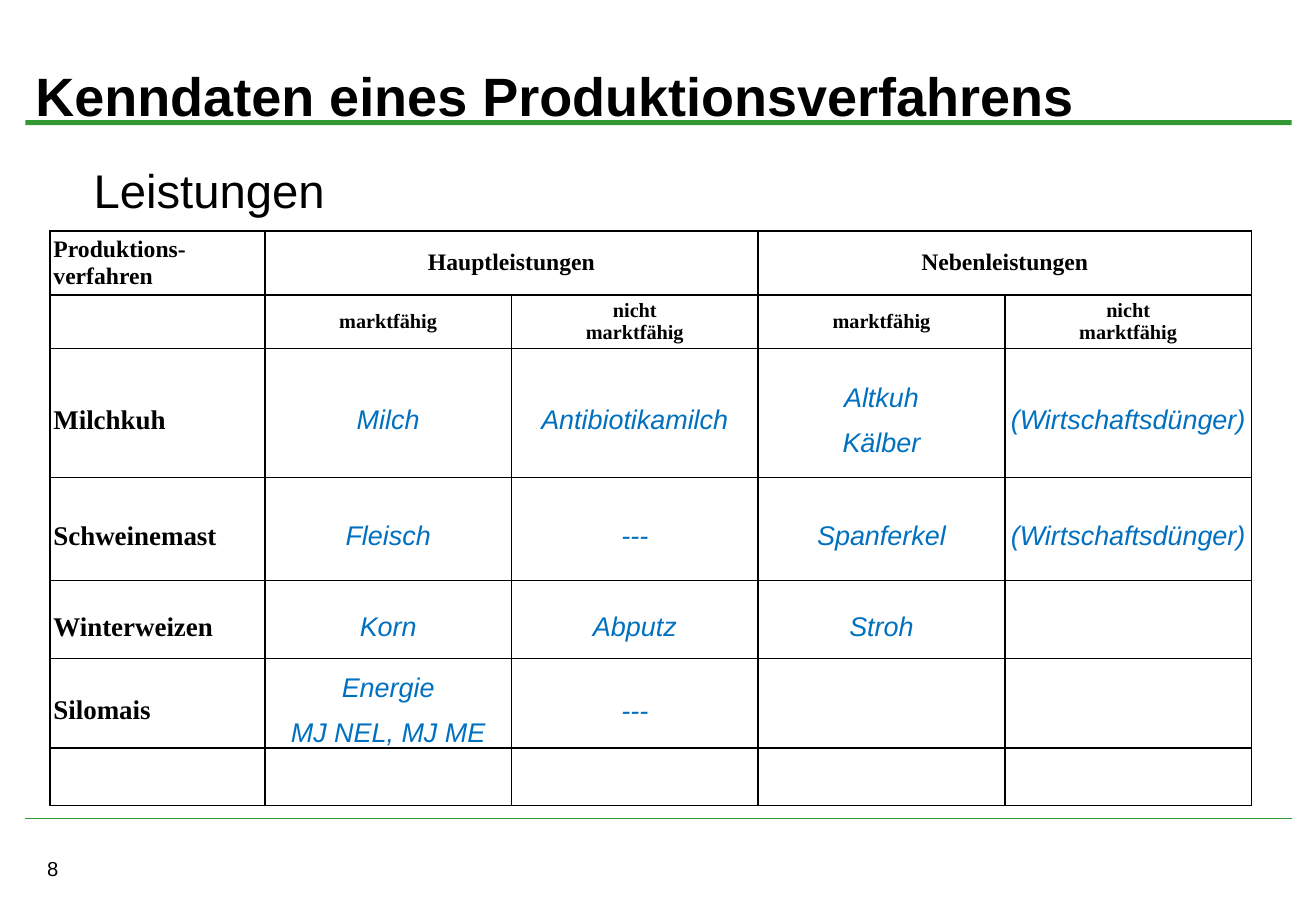
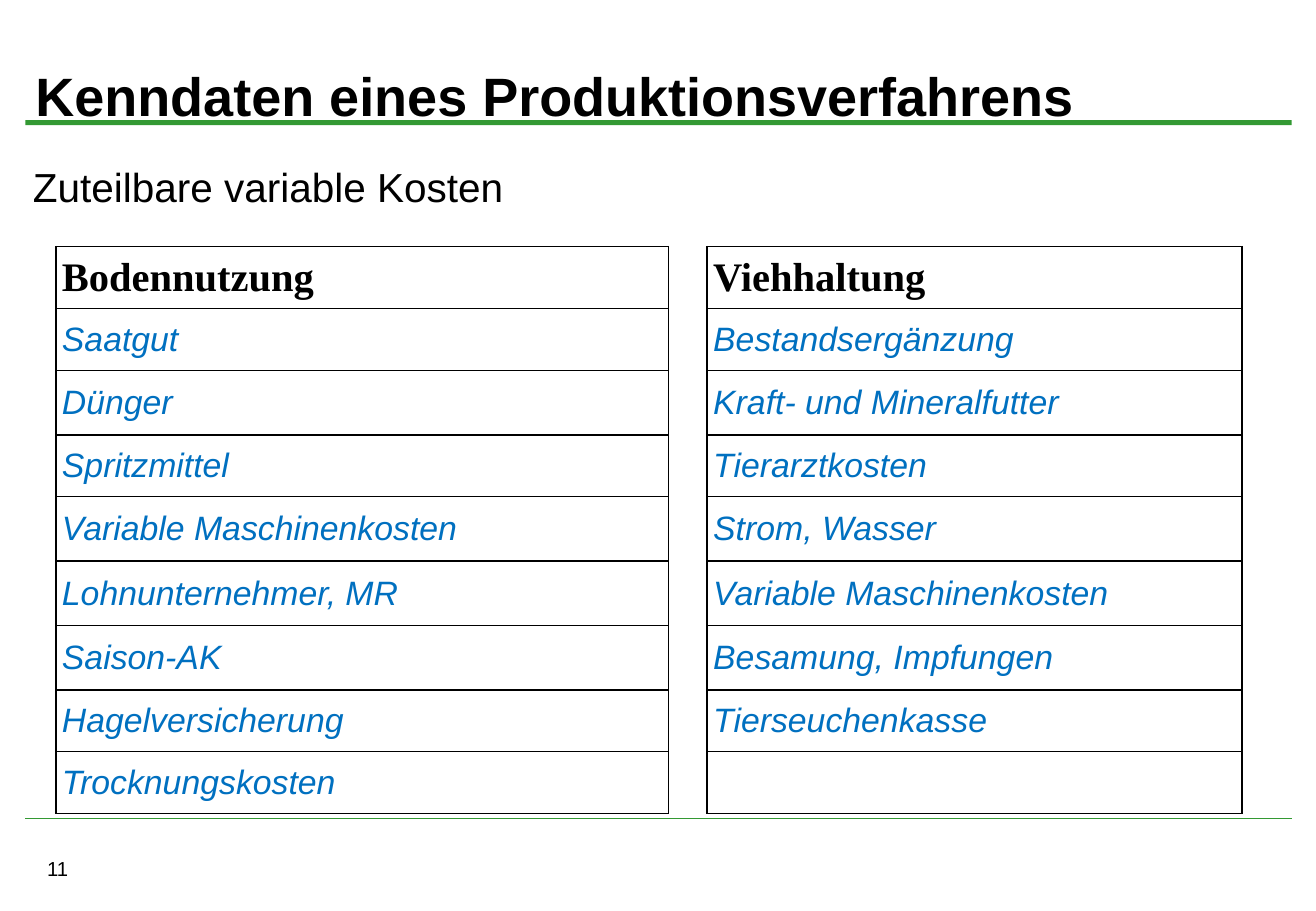
import dataclasses

import lxml.etree
import pptx
import pptx.dml.color
import pptx.enum.shapes
import pptx.enum.text
import pptx.oxml.ns
import pptx.util

Inches = pptx.util.Inches
Pt = pptx.util.Pt
ALIGN = pptx.enum.text.PP_ALIGN
ANCHOR = pptx.enum.text.MSO_ANCHOR
FIT = pptx.enum.text.MSO_AUTO_SIZE
qn = pptx.oxml.ns.qn


@dataclasses.dataclass(frozen=True)
class Theme:
    green: str = "339933"
    black: str = "000000"
    blue: str = "0070C0"
    sans: str = "Arial"
    serif: str = "Times New Roman"
    title: int = 32
    lead: int = 28
    head: int = 24
    item: int = 20
    name: int = 16
    group: int = 14
    small: int = 12
    grid: str = "{2D5ABB26-0587-4C30-8999-92F81FD0307C}"


T = Theme()
TITLE = "Kenndaten eines Produktionsverfahrens"


def put(obj, **vals):
    for key, val in vals.items():
        setattr(obj, key, val)


def rgb(code):
    return pptx.dml.color.RGBColor.from_string(code)


def place(obj, left, top, width, height):
    put(obj, left=Inches(left), top=Inches(top),
        width=Inches(width), height=Inches(height))


def style(para, size, face=T.sans, color=T.black, bold=False, italic=False):
    for run in para.runs:
        put(run.font, name=face, size=Pt(size), bold=bold, italic=italic)
        run.font.color.rgb = rgb(color)


def node(par, tag, **vals):
    item = lxml.etree.SubElement(par, qn(tag))
    for key, val in vals.items():
        item.set(key, str(val))
    return item


def frame(slide, layout):
    band = slide.shapes.add_shape(
        pptx.enum.shapes.MSO_SHAPE.RECTANGLE,
        Inches(0.21), Inches(0.99), Inches(10.42), Inches(0.04))
    band.shadow.inherit = False
    band.fill.solid()
    band.fill.fore_color.rgb = rgb(T.green)
    band.line.fill.background()
    rule = slide.shapes.add_connector(
        pptx.enum.shapes.MSO_CONNECTOR.STRAIGHT,
        Inches(0.21), Inches(6.74), Inches(10.63), Inches(6.74))
    rule.line.color.rgb = rgb(T.green)
    rule.line.width = Pt(0.75)
    node(rule._element.spPr, "a:effectLst")
    for part in (band, rule):
        layout.shapes._spTree.append(part._element)


def page(slide, num):
    box = slide.shapes.add_textbox(
        Inches(0.29), Inches(7), Inches(2.55), Inches(0.3))
    put(box.text_frame, word_wrap=True, auto_size=FIT.SHAPE_TO_FIT_TEXT, text=num)
    style(box.text_frame.paragraphs[0], T.small)


def heads(slide, lead, size):
    text = slide.shapes.title.text_frame
    put(text, text=TITLE, vertical_anchor=ANCHOR.MIDDLE,
        margin_bottom=0, auto_size=FIT.NONE)
    para = text.paragraphs[0]
    para.alignment = ALIGN.LEFT
    style(para, T.title, bold=True)

    text = slide.placeholders[1].text_frame
    put(text, text=lead, vertical_anchor=ANCHOR.TOP,
        margin_top=Inches(0.09), auto_size=FIT.NONE)
    para = text.paragraphs[0]
    props = para._p.get_or_add_pPr()
    props.set("marL", "0")
    props.set("indent", "0")
    node(props, "a:buNone")
    node(node(props, "a:tabLst"), "a:tab", pos=Inches(1), algn="l")
    para.space_before = Pt(0)
    style(para, size)


def edge(cell, sides):
    props = cell._tc.get_or_add_tcPr()
    for side in sides:
        line = node(props, "a:ln" + side, w=Pt(1))
        node(node(line, "a:solidFill"), "a:srgbClr", val=T.black)
    cell.fill.background()


def table(slide, left, top, cols, rows):
    shape = slide.shapes.add_table(
        len(rows), len(cols), Inches(left), Inches(top),
        Inches(sum(cols)), Inches(sum(rows)))
    grid = shape.table
    put(grid, first_row=False, horz_banding=False)
    grid._tbl.tblPr.find(qn("a:tableStyleId")).text = T.grid
    for col, width in zip(grid.columns, cols):
        col.width = Inches(width)
    for row, height in zip(grid.rows, rows):
        row.height = Inches(height)
    return grid


def fill(cell, text, pad, look, sides="LRTB", **form):
    put(cell, text=text, vertical_anchor=ANCHOR.MIDDLE,
        margin_left=Inches(pad), margin_right=Inches(pad),
        margin_top=0, margin_bottom=0)
    for para in cell.text_frame.paragraphs:
        put(para, **form)
        style(para, **look)
    edge(cell, sides)


def yields(slide):
    data = [
        ["Produktions-\nverfahren", "Hauptleistungen", "", "Nebenleistungen", ""],
        ["", "marktfähig", "nicht\nmarktfähig", "marktfähig", "nicht\nmarktfähig"],
        ["Milchkuh", "Milch", "Antibiotikamilch", "Altkuh\nKälber",
         "(Wirtschaftsdünger)"],
        ["Schweinemast", "Fleisch", "---", "Spanferkel", "(Wirtschaftsdünger)"],
        ["Winterweizen", "Korn", "Abputz", "Stroh", ""],
        ["Silomais", "Energie\nMJ NEL, MJ ME", "---", "", ""],
        [""] * 5,
    ]
    grid = table(slide, 0.41, 1.9, [1.77] + [2.03] * 4,
                 [0.53, 0.44, 1.06, 0.85, 0.64, 0.74, 0.47])
    for col in (1, 3):
        grid.cell(0, col).merge(grid.cell(0, col + 1))
    sizes = [T.group, T.small] + [T.name] * 5
    for r, (row, size) in enumerate(zip(data, sizes)):
        for c, text in enumerate(row):
            look = dict(size=size, face=T.serif, bold=True)
            if r > 1 and c:
                look = dict(size=size, color=T.blue, italic=True)
            fill(grid.cell(r, c), text, 0.03, look,
                 alignment=ALIGN.CENTER if c else ALIGN.LEFT,
                 line_spacing=1.5 if r > 1 else 1.0)


def costs(slide):
    data = [
        ("Bodennutzung", "Viehhaltung"),
        ("Saatgut", "Bestandsergänzung"),
        ("Dünger", "Kraft- und Mineralfutter"),
        ("Spritzmittel", "Tierarztkosten"),
        ("Variable Maschinenkosten", "Strom, Wasser"),
        ("Lohnunternehmer, MR", "Variable Maschinenkosten"),
        ("Saison-AK", "Besamung, Impfungen"),
        ("Hagelversicherung", "Tierseuchenkasse"),
        ("Trocknungskosten", ""),
    ]
    grid = table(slide, 0.46, 2.03, [5.04, 0.32, 4.4],
                 [0.51, 0.51, 0.53, 0.51, 0.53, 0.53, 0.53, 0.51, 0.51])
    head = dict(size=T.head, face=T.serif, bold=True)
    item = dict(size=T.item, color=T.blue, italic=True)
    for r, (soil, stock) in enumerate(data):
        look = item if r else head
        fill(grid.cell(r, 0), soil, 0.05, look)
        edge(grid.cell(r, 1), "LR")
        fill(grid.cell(r, 2), stock, 0.05, look)


def main():
    deck = pptx.Presentation()
    put(deck, slide_width=Inches(10.83), slide_height=Inches(7.5))
    layout = deck.slide_layouts[1]
    place(layout.placeholders[0], 0.19, 0.32, 10.45, 0.87)
    place(layout.placeholders[1], 0.17, 1.24, 10.5, 5.43)
    plan = [
        ("8", "\tLeistungen", T.lead, yields),
        ("11", "Zuteilbare variable Kosten", T.head, costs),
    ]
    for num, lead, size, draw in plan:
        slide = deck.slides.add_slide(layout)
        heads(slide, lead, size)
        draw(slide)
        page(slide, num)
    frame(deck.slides[0], layout)
    deck.save("out.pptx")


if __name__ == "__main__":
    main()
